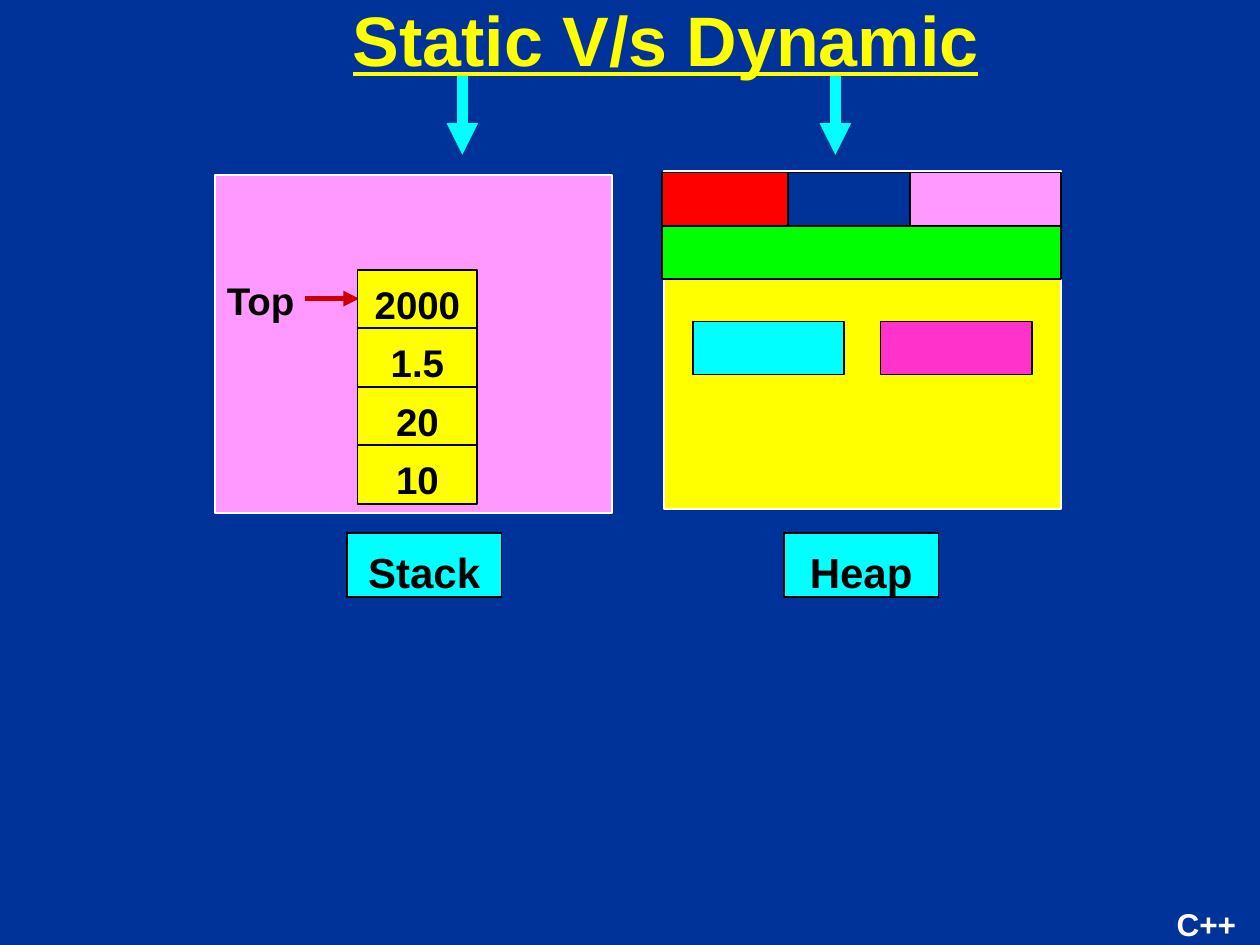
from lxml.etree import SubElement as Sub
from pptx import Presentation
from pptx.dml.color import RGBColor as Rgb
from pptx.enum.shapes import MSO_CONNECTOR as Link, MSO_SHAPE as Kind
from pptx.enum.text import MSO_ANCHOR as Anchor, PP_ALIGN as Align
from pptx.oxml.ns import qn
from pptx.util import Cm, Pt

BLACK, WHITE, NAVY = "000000", "FFFFFF", "003399"
YELLOW, CYAN, PINK = "FFFF00", "00FFFF", "FF99FF"

AREAS = [
    ("Heap", YELLOW, 13.39, 3.45, 15.8, 16.84),
    ("Stack", PINK, 4.34, 3.53, 6.99, 9.32),
]
BLOCKS = [
    (13.34, 3.48, 2.54, "FF0000"),
    (15.88, 3.48, 3.05, NAVY),
    (18.34, 3.48, 3.05, PINK),
    (13.34, 4.55, 8.05, "00FF00"),
    (13.97, 6.48, 3.05, CYAN),
    (17.75, 6.48, 3.05, "FF33CC"),
]
VALUES = ["2000", "1.5", "20", "10"]
LEFT, TOP, STEP = 7.21, 5.44, 1.18

deck = Presentation()
deck.slide_width, deck.slide_height = Cm(25.4), Cm(19.05)
slide = deck.slides.add_slide(deck.slide_layouts[6])
shapes = slide.shapes


def color(code):
    return Rgb.from_string(code)


def write(shape, text, size, code=BLACK, pad=0.22, align=Align.CENTER, wrap=True):
    frame = shape.text_frame
    frame.word_wrap = wrap
    frame.vertical_anchor = Anchor.TOP
    frame.margin_top, frame.margin_bottom = Cm(pad), Cm(0)
    para = frame.paragraphs[0]
    para.text, para.alignment = text, align
    font = para.font
    font.name, font.size, font.bold = "Arial", Pt(size), True
    font.color.rgb = color(code)
    return font


def label(x, y, w, h, *args, **opts):
    box = shapes.add_textbox(Cm(x), Cm(y), Cm(w), Cm(h))
    return write(box, *args, **opts)


def rect(x, y, w, h, fill, edge=BLACK):
    box = shapes.add_shape(Kind.RECTANGLE, Cm(x), Cm(y), Cm(w), Cm(h))
    box.shadow.inherit = False
    box.fill.solid()
    box.fill.fore_color.rgb = color(fill)
    box.line.color.rgb = color(edge)
    box.line.width = Pt(1)
    return box


def arrow(x1, y1, x2, y2, code, width):
    link = shapes.add_connector(Link.STRAIGHT, Cm(x1), Cm(y1), Cm(x2), Cm(y2))
    link.line.color.rgb = color(code)
    link.line.width = Pt(width)
    Sub(link.line._get_or_add_ln(), qn("a:tailEnd"), type="triangle")
    Sub(link._element.spPr, qn("a:effectLst"))


back = slide.background.fill
back.solid()
back.fore_color.rgb = color(NAVY)

for name, fill, x, y, tag, tip in AREAS:
    rect(x, y, 8, 6.81, fill, WHITE)
    write(rect(tag, 10.74, 3.12, 1.3, CYAN), name, 24, pad=0.28)
    arrow(tip, 1.45, tip, 3.12, CYAN, 6)

title = label(3.78, -0.2, 19.28, 1.95, "Static V/s Dynamic", 40, YELLOW, pad=0.13)
title.underline = True

for x, y, w, fill in BLOCKS:
    rect(x, y, w, 1.07, fill)

arrow(6.15, 6.02, 7.24, 6.02, "CC0000", 3)
label(4.29, 5.36, 1.93, 1.19, "Top", 22, wrap=False)
for i, value in enumerate(VALUES):
    write(rect(LEFT, TOP + i * STEP, 2.41, STEP, YELLOW), value, 22)

label(23.47, 18.03, 1.7, 1.02, "C++", 18, WHITE, align=Align.LEFT, wrap=False)

deck.save("out.pptx")
